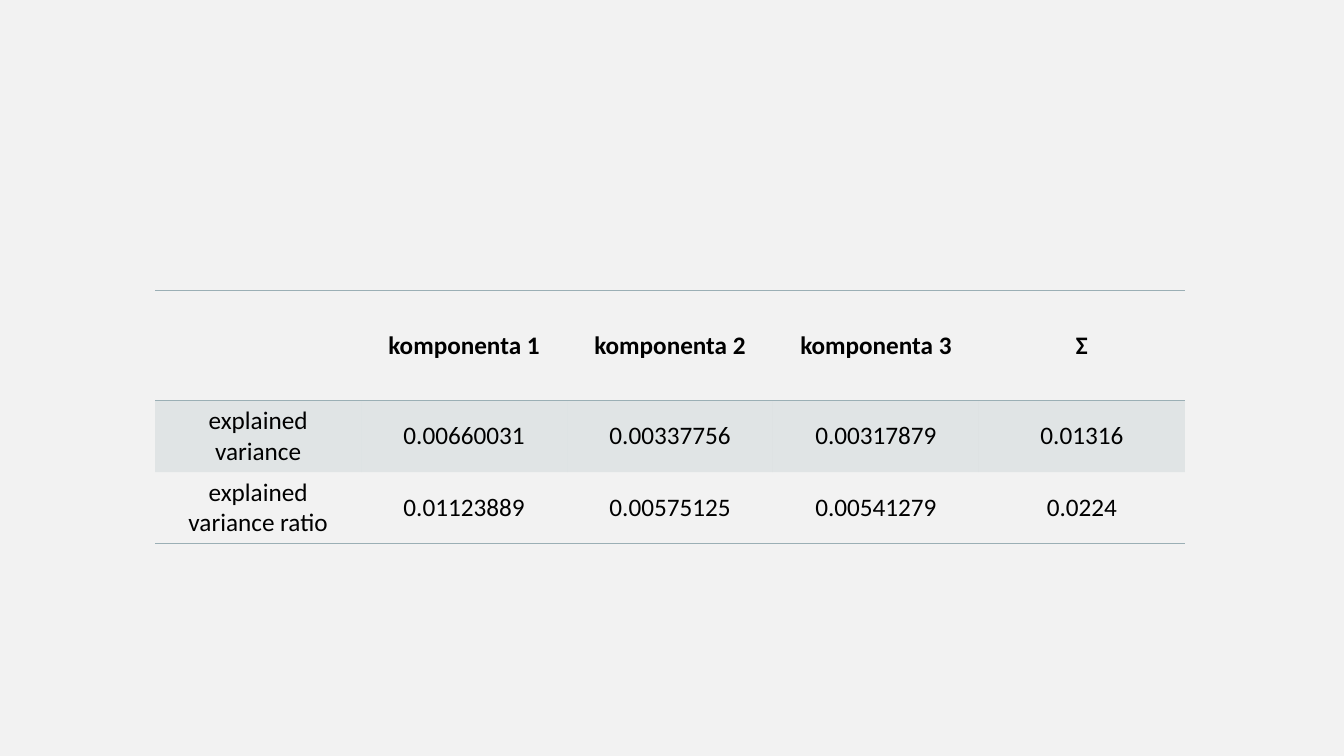
from dataclasses import dataclass

from pptx import Presentation
from pptx.dml.color import RGBColor
from pptx.enum import text
from pptx.oxml import ns, xmlchemy
from pptx.table import _Cell as Cell
from pptx.util import Cm, Pt

ACCENT = "9BAFB5"
COLUMN_WIDTH = 5.19


@dataclass(frozen=True)
class TableRow:
    labels: tuple[str, ...]
    height: float
    bold: bool = False
    shaded: bool = False
    ruled_sides: str = ""


ROWS = (
    TableRow(("", "komponenta 1", "komponenta 2", "komponenta 3", "Σ"),
             2.77, bold=True, ruled_sides="TB"),
    TableRow(("explained variance", "0.00660031", "0.00337756", "0.00317879", "0.01316"),
             1.6, shaded=True, ruled_sides="T"),
    TableRow(("explained variance ratio", "0.01123889", "0.00575125", "0.00541279", "0.0224"),
             1.6, ruled_sides="B"),
)


def colour(value: str) -> RGBColor:
    return RGBColor.from_string(value)


def add_child(parent, tag: str, **attributes: str):
    child = xmlchemy.OxmlElement(tag)
    for name, value in attributes.items():
        child.set(name, value)
    parent.append(child)
    return child


def fill_cell(cell: Cell, shaded: bool) -> None:
    if not shaded:
        cell.fill.background()
        return
    cell.fill.solid()
    cell.fill.fore_color.rgb = colour(ACCENT)
    tint = cell._tc.tcPr.find(".//" + ns.qn("a:srgbClr"))
    add_child(tint, "a:alpha", val="20000")


def set_borders(cell: Cell, ruled_sides: str) -> None:
    """Rule the given sides (letters of LRTB) and clear the others."""
    properties = cell._tc.get_or_add_tcPr()
    for position, side in enumerate("LRTB"):
        line = xmlchemy.OxmlElement(f"a:ln{side}")
        if side in ruled_sides:
            line.set("w", str(Pt(1)))
            solid = add_child(line, "a:solidFill")
            add_child(solid, "a:srgbClr", val=ACCENT)
        else:
            add_child(line, "a:noFill")
        properties.insert(position, line)


def write_cell(cell: Cell, label: str, bold: bool) -> None:
    cell.vertical_anchor = text.MSO_ANCHOR.MIDDLE
    if not label:
        return
    paragraph = cell.text_frame.paragraphs[0]
    paragraph.alignment = text.PP_ALIGN.CENTER
    run = paragraph.add_run()
    run.text = label
    run.font.name = "Calibri"
    run.font.size = Pt(18)
    run.font.bold = bold
    run.font.color.rgb = colour("000000")


def add_variance_table(slide) -> None:
    column_count = len(ROWS[0].labels)
    table = slide.shapes.add_table(
        len(ROWS), column_count, Cm(3.91), Cm(7.32),
        Cm(COLUMN_WIDTH * column_count), Cm(sum(row.height for row in ROWS))).table
    table.first_row = False
    table.horz_banding = False
    for column in table.columns:
        column.width = Cm(COLUMN_WIDTH)
    for table_row, row in zip(table.rows, ROWS):
        table_row.height = Cm(row.height)
        for cell, label in zip(table_row.cells, row.labels):
            write_cell(cell, label, row.bold)
            fill_cell(cell, row.shaded)
            set_borders(cell, row.ruled_sides)


def main() -> None:
    presentation = Presentation()
    presentation.slide_width = Cm(33.87)
    presentation.slide_height = Cm(19.05)
    slide = presentation.slides.add_slide(presentation.slide_layouts[6])
    slide.background.fill.solid()
    slide.background.fill.fore_color.rgb = colour("F2F2F2")
    add_variance_table(slide)
    presentation.save("out.pptx")


if __name__ == "__main__":
    main()
